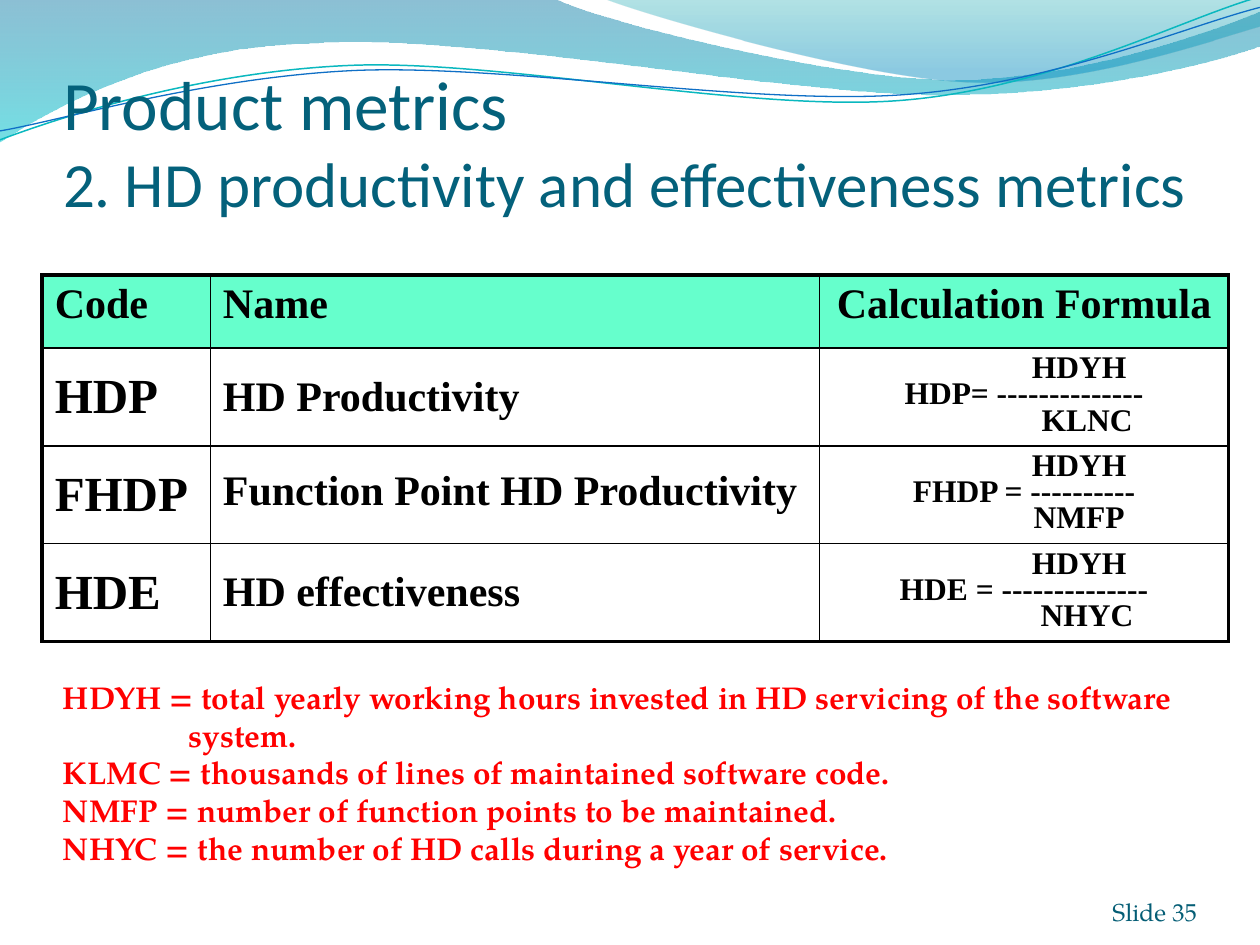
from lxml.etree import SubElement
from pptx import Presentation
from pptx.dml.color import RGBColor
from pptx.enum.text import MSO_ANCHOR, MSO_AUTO_SIZE, PP_ALIGN
from pptx.oxml.ns import qn
from pptx.util import Cm, Pt

BLACK = RGBColor(0x00, 0x00, 0x00)
RED = RGBColor(0xFF, 0x00, 0x00)
MINT = RGBColor(0x66, 0xFF, 0xCC)
TITLE_TEAL = RGBColor(0x04, 0x61, 0x7B)
NUMBER_TEAL = RGBColor(0x04, 0x5D, 0x75)
DEEP_BLUE = RGBColor(0x00, 0x74, 0xA1)
AQUA = RGBColor(0x00, 0xC6, 0xCF)
SEA_GREEN = RGBColor(0x00, 0xA1, 0xA9)
SKY_BLUE = RGBColor(0x00, 0x8B, 0xBF)
LINE_TEAL = RGBColor(0x0A, 0xB8, 0xBF)
LINE_BLUE = RGBColor(0x0F, 0x6F, 0xC6)


def add_text(para, text, font, size, color, bold=False, align=PP_ALIGN.LEFT,
             spacing=None, indent=0, hanging=0):
    para.alignment = align
    if spacing:
        para.line_spacing = spacing
    if indent:
        properties = para._p.get_or_add_pPr()
        properties.set("marL", str(Cm(indent)))
        properties.set("indent", str(-Cm(hanging)))
    span = para.add_run()
    span.text = text
    span.font.name = font
    span.font.size = Pt(size)
    span.font.bold = bold
    span.font.color.rgb = color


def add_wave(shapes, pieces, close):
    """Draw points (x, y) and cubic curves (x1, y1, x2, y2, x, y), in cm."""
    points = [(Cm(piece[i]), Cm(piece[i + 1]))
              for piece in pieces for i in range(0, len(piece), 2)]
    builder = shapes.build_freeform(*points[0], scale=1.0)
    builder.add_line_segments(points[1:], close=close)
    wave = builder.convert_to_shape()
    wave.shadow.inherit = False
    # Join the three segments of each curve into one cubic segment
    segments = wave.element.iter(qn("a:lnTo"))
    segments = iter(list(segments))
    for piece in pieces[1:]:
        first = next(segments)
        if len(piece) == 6:
            first.tag = qn("a:cubicBezTo")
            for extra in (next(segments), next(segments)):
                first.append(extra[0])
                extra.getparent().remove(extra)
    return wave


deck = Presentation()
deck.slide_width, deck.slide_height = Cm(25.4), Cm(19.05)
page = deck.slides.add_slide(deck.slide_layouts[5])
shapes = page.shapes

# Translucent waves along the top: outline, then (position, colour, opacity)
bands = [
    ([(0, 0), (11.18, -0.03), (12.09, 0.43, 16.87, 1.6, 19.25, 1.6),
      (21.67, 1.6, 24.33, 0.66, 25.4, 0.23), (25.43, 0.91),
      (24.97, 1.12, 22.1, 1.93, 18.95, 1.91), (15.8, 1.91, 9.7, 0.71, 6.53, 0.86),
      (3.28, 0.91, 1.17, 2.11, -0.03, 2.87)],
     [(0, DEEP_BLUE, 45), (1, AQUA, 55)]),
    ([(12.17, -0.03), (12.93, 0.28, 17.32, 1.57, 19.53, 1.65),
      (21.74, 1.75, 24.41, 0.81, 25.4, 0.53), (25.4, 0)],
     [(0, SEA_GREEN, 30), (0.8, SKY_BLUE, 45)]),
]
for outline, stops in bands:
    band = add_wave(shapes, outline, close=True)
    band.line.fill.background()
    band.fill.gradient()
    band.fill.gradient_angle = 270
    for stop, (position, color, _) in zip(band.fill.gradient_stops, stops):
        stop.position = position
        stop.color.rgb = color
    for color_node, (_, _, opacity) in zip(band.element.iter(qn("a:srgbClr")), stops):
        SubElement(color_node, qn("a:alpha")).set("val", str(opacity * 1000))

# Thin wave lines
strands = [
    ([(0, 2.82), (1.22, 2.36, 4.01, 1.45, 7.04, 1.32),
      (10.03, 1.19, 15.06, 2.26, 18.11, 2.03), (21.16, 1.8, 23.83, 0.38, 25.35, -0.05)],
     LINE_TEAL, 0.85),
    ([(0, 2.64), (1.19, 2.44, 4.17, 1.55, 7.19, 1.42),
      (10.24, 1.3, 15.16, 2.13, 18.21, 1.91), (21.23, 1.7, 23.9, 0.53, 25.4, 0.15)],
     LINE_BLUE, 0.75),
]
for outline, color, weight in strands:
    strand = add_wave(shapes, outline, close=False)
    strand.fill.background()
    strand.line.color.rgb = color
    strand.line.width = Pt(weight)

# Metrics table: code, name, left side and bar, denominator, indent
metrics = [
    ("HDP", "HD Productivity", "HDP= --------------", "KLNC", 2.54),
    ("FHDP", "Function Point HD Productivity", "FHDP = ----------", "NMFP", 2.22),
    ("HDE", "HD effectiveness", "HDE = --------------", "NHYC", 2.54),
]
row_count, column_count = len(metrics) + 1, 3
table = shapes.add_table(row_count, column_count, Cm(0.85), Cm(5.54),
                         Cm(23.92), Cm(7.4)).table
table.first_row = table.horz_banding = False
for column, width in zip(table.columns, (3.39, 12.28, 8.25)):
    column.width = Cm(width)
for row, height in zip(table.rows, (1.48, 1.97, 1.97, 1.97)):
    row.height = Cm(height)

# Borders: heavy outside, thin inside
for row in range(row_count):
    for column in range(column_count):
        cell = table.cell(row, column)
        cell.vertical_anchor = MSO_ANCHOR.MIDDLE if row else MSO_ANCHOR.TOP
        outer = {"L": column == 0, "R": column == column_count - 1,
                 "T": row == 0, "B": row == row_count - 1}
        for side, heavy in outer.items():
            border = SubElement(cell._tc.get_or_add_tcPr(), qn(f"a:ln{side}"))
            border.set("w", str(Pt(2.25 if heavy else 1)))
            fill = SubElement(border, qn("a:solidFill"))
            SubElement(fill, qn("a:srgbClr")).set("val", str(BLACK))
        if row == 0:
            cell.fill.solid()
            cell.fill.fore_color.rgb = MINT
        else:
            cell.fill.background()

# Table text
cell_style = dict(font="Times New Roman", color=BLACK, bold=True)
for column, heading in enumerate(("Code", "Name", "Calculation Formula")):
    add_text(table.cell(0, column).text_frame.paragraphs[0], heading, size=24,
             align=PP_ALIGN.CENTER if column == 2 else PP_ALIGN.LEFT, **cell_style)
for row, (code, name, equation, divisor, divisor_indent) in enumerate(metrics, 1):
    add_text(table.cell(row, 0).text_frame.paragraphs[0], code, size=28, **cell_style)
    add_text(table.cell(row, 1).text_frame.paragraphs[0], name, size=24,
             spacing=0.75 if code == "FHDP" else None, **cell_style)
    frame = table.cell(row, 2).text_frame
    formula = (("HDYH", 2.22), (equation, 0), (divisor, divisor_indent))
    for index, (text, indent) in enumerate(formula):
        para = frame.add_paragraph() if index else frame.paragraphs[0]
        add_text(para, text, size=18, align=PP_ALIGN.CENTER, spacing=0.75,
                 indent=indent, **cell_style)

# Definitions of the variables
definitions = [
    "HDYH = total yearly working hours invested in HD servicing of the software system.",
    "KLMC = thousands of lines of maintained software code.",
    "NMFP = number of function points to be maintained.",
    "NHYC = the number of HD calls during a year of service.",
]
frame = shapes.add_textbox(Cm(1.02), Cm(13.54), Cm(24.38), Cm(4.11)).text_frame
frame.word_wrap = True
for index, definition in enumerate(definitions):
    para = frame.add_paragraph() if index else frame.paragraphs[0]
    hang = 0 if index else 2.54
    add_text(para, definition, font="TeX Gyre Pagella", size=18, color=RED, bold=True,
             indent=hang, hanging=hang)

# Title, brought in front of the waves
title = shapes.title
title.element.getparent().append(title.element)
title.left, title.top, title.width, title.height = Cm(1.27), Cm(1.27), Cm(23.29), Cm(3.17)
frame = title.text_frame
frame.auto_size = MSO_AUTO_SIZE.NONE
frame.vertical_anchor = MSO_ANCHOR.BOTTOM
frame.margin_left = frame.margin_right = frame.margin_bottom = 0
frame.margin_top = Cm(0.13)
para = frame.paragraphs[0]
add_text(para, "Product metrics", font="Calibri", size=39.6, color=TITLE_TEAL)
para.add_line_break()
add_text(para, "2. HD productivity and effectiveness metrics", font="Calibri", size=36,
         color=TITLE_TEAL)

# Slide number
frame = shapes.add_textbox(Cm(22.02), Cm(17.65), Cm(2.11), Cm(1.02)).text_frame
frame.word_wrap = True
frame.vertical_anchor = MSO_ANCHOR.BOTTOM
frame.margin_left = frame.margin_right = frame.margin_top = frame.margin_bottom = 0
add_text(frame.paragraphs[0], "Slide 35", font="TeX Gyre Pagella", size=14,
         color=NUMBER_TEAL, align=PP_ALIGN.RIGHT)

deck.save("out.pptx")
